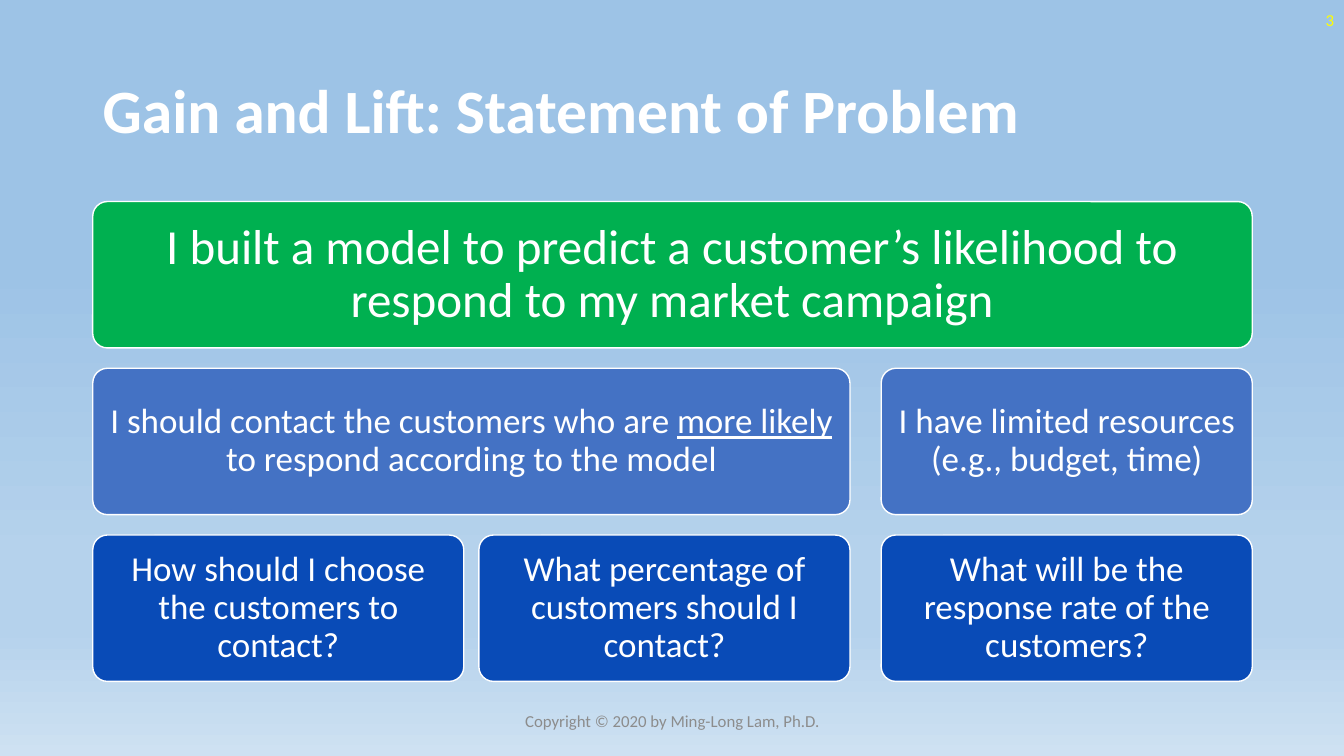
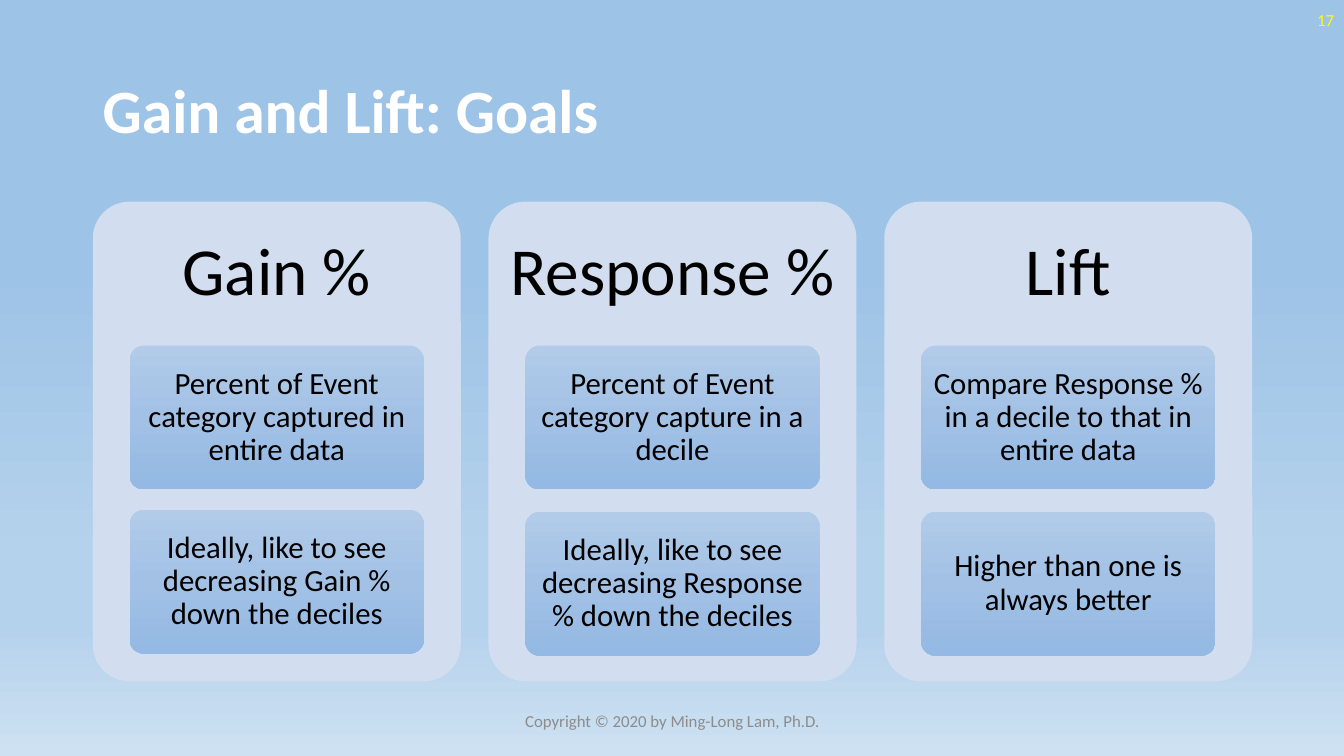
from lxml import etree
from pptx import Presentation
from pptx import util as u
from pptx.dml.color import RGBColor
from pptx.enum import shapes, text
from pptx.oxml import ns

WIDTH, HEIGHT = 13.33, 7.5
FONT = "Calibri"
WHITE = RGBColor(0xFF, 0xFF, 0xFF)
BLACK = RGBColor(0x00, 0x00, 0x00)
YELLOW = RGBColor(0xFF, 0xFF, 0x00)
GREY = RGBColor(0x8C, 0x8C, 0x8C)
GREEN = RGBColor(0x00, 0xB0, 0x50)
MID_BLUE = RGBColor(0x44, 0x72, 0xC4)
DEEP_BLUE = RGBColor(0x09, 0x4B, 0xB7)
PANEL_BLUE = RGBColor(0xD2, 0xDE, 0xEF)
SKY = [(35, RGBColor(0x9D, 0xC3, 0xE6)), (74, RGBColor(0xB5, 0xD2, 0xEC)),
       (83, RGBColor(0xB5, 0xD2, 0xEC)), (100, RGBColor(0xCE, 0xE1, 0xF2))]
TILE_BLUES = [(0, RGBColor(0xB1, 0xCB, 0xE9)), (50, RGBColor(0xA3, 0xC1, 0xE5)),
              (100, RGBColor(0x93, 0xB9, 0xE4))]

# Boxes are (left, top, width, height) in inches
TITLE_BOX = (0.92, 0.4, 11.5, 1.45)
BODY_BOX = (0.92, 2, 11.5, 4.76)
NUMBER_BOX = (10.33, 0, 3, 0.4)
FOOTER_BOX = (4.42, 6.95, 4.5, 0.4)
FOOTER = "Copyright © 2020 by Ming-Long Lam, Ph.D."

LEFT, CENTER, RIGHT = (text.PP_ALIGN.LEFT, text.PP_ALIGN.CENTER,
                       text.PP_ALIGN.RIGHT)


def inches(box):
    return [u.Inches(length) for length in box]


def paint_gradient(fill, element, stops):
    """Fill downwards through (percent, colour) stops."""
    fill.gradient()
    fill.gradient_angle = 270
    stop_list = next(element.iter(ns.qn("a:gsLst")))
    for stop in list(stop_list):
        stop_list.remove(stop)
    for percent, colour in stops:
        stop = etree.SubElement(stop_list, ns.qn("a:gs"), pos=str(percent * 1000))
        etree.SubElement(stop, ns.qn("a:srgbClr"), val=str(colour))


def write(shape, words, size, colour, align=CENTER, insets=(0.1, 0.05),
          bold=False, spacing=0.9, underlined=""):
    """Write one middle-anchored paragraph, with one phrase underlined if given."""
    frame = shape.text_frame
    frame.word_wrap = True
    frame.vertical_anchor = text.MSO_ANCHOR.MIDDLE
    frame.margin_left = frame.margin_right = u.Inches(insets[0])
    frame.margin_top = frame.margin_bottom = u.Inches(insets[1])
    para = frame.paragraphs[0]
    para.alignment, para.line_spacing = align, spacing
    parts = words.partition(underlined) if underlined else [words]
    for part in parts:
        span = para.add_run()
        span.text = part
        span.font.name, span.font.size = FONT, u.Pt(size)
        span.font.color.rgb, span.font.bold = colour, bold
        if part == underlined:
            span.font.underline = True


def add_label(page, box, words, size, colour, **style):
    label = page.shapes.add_textbox(*inches(box))
    write(label, words, size, colour, **style)


def add_card(page, box, fill, outline=None):
    """Rounded card with a plain colour or a list of gradient stops."""
    card = page.shapes.add_shape(shapes.MSO_SHAPE.ROUNDED_RECTANGLE, *inches(box))
    card.adjustments[0] = 0.1
    card.shadow.inherit = False
    if isinstance(fill, list):
        paint_gradient(card.fill, card.element, fill)
    else:
        card.fill.solid()
        card.fill.fore_color.rgb = fill
    if outline is None:
        card.line.fill.background()
    else:
        card.line.color.rgb = outline
        card.line.width = u.Pt(1)
    return card


def add_page(deck, title, number):
    """Blank page with title, page number and footer."""
    page = deck.slides.add_slide(deck.slide_layouts[6])
    add_label(page, TITLE_BOX, title, 44, WHITE, align=LEFT, bold=True)
    add_label(page, NUMBER_BOX, number, 12, YELLOW, align=RIGHT, spacing=1.0)
    add_label(page, FOOTER_BOX, FOOTER, 12, GREY, spacing=1.0)
    return page


def add_problem_tree(page, box):
    """Three rows of cards: the model, its consequences, the questions."""
    left, top, width, height = box
    card_width, card_height = 0.32 * width, 0.305 * height
    row_pitch = (height - card_height) / 2
    second = card_width + 0.15
    pair_width = second + card_width
    third = width - card_width
    cards = [  # row, offset, width, colour, size, inset, words, underlined
        (0, 0, width, GREEN, 35, 0.15, "I built a model to predict a customer’s "
         "likelihood to respond to my market campaign", ""),
        (1, 0, pair_width, MID_BLUE, 25, 0.1, "I should contact the customers who "
         "are more likely to respond according to the model", "more likely"),
        (1, third, card_width, MID_BLUE, 25, 0.1,
         "I have limited resources (e.g., budget, time)", ""),
        (2, 0, card_width, DEEP_BLUE, 25, 0.1,
         "How should I choose the customers to contact?", ""),
        (2, second, card_width, DEEP_BLUE, 25, 0.1,
         "What percentage of customers should I contact?", ""),
        (2, third, card_width, DEEP_BLUE, 25, 0.1,
         "What will be the response rate of the customers?", ""),
    ]
    for row, offset, span_width, colour, size, inset, words, underlined in cards:
        card = add_card(page, (left + offset, top + row * row_pitch,
                               span_width, card_height), colour, WHITE)
        write(card, words, size, WHITE, insets=(inset, inset),
              underlined=underlined)


def add_goal_panel(page, box, heading, goals, gap):
    """Panel with a heading above stacked goal tiles."""
    left, top, width, height = box
    tile_height = 0.3 * height
    add_card(page, box, PANEL_BLUE)
    add_label(page, (left, top, width, tile_height), heading, 48, BLACK,
              insets=(0.2, 0.2))
    for row, goal in enumerate(goals):
        tile_top = top + tile_height + row * (tile_height + gap)
        tile = add_card(page, (left + 0.1 * width, tile_top,
                               0.8 * width, tile_height), TILE_BLUES)
        write(tile, goal, 22, BLACK, insets=(0.06, 0.05))


def add_goal_panels(page, box):
    """Three equal panels across the box."""
    left, top, width, height = box
    panels = [  # heading, goals, gap between tiles
        ("Gain %", ["Percent of Event category captured in entire data",
                    "Ideally, like to see decreasing Gain % down the deciles"], 0.2),
        ("Response %", ["Percent of Event category capture in a decile",
                        "Ideally, like to see decreasing Response % down the deciles"],
         0.22),
        ("Lift", ["Compare Response % in a decile to that in entire data",
                  "Higher than one is always better"], 0.22),
    ]
    panel_width = 3.65
    pitch = (width - panel_width) / (len(panels) - 1)
    for column, (heading, goals, gap) in enumerate(panels):
        panel_box = (left + column * pitch, top, panel_width, height)
        add_goal_panel(page, panel_box, heading, goals, gap)


def main():
    deck = Presentation()
    deck.slide_width, deck.slide_height = u.Inches(WIDTH), u.Inches(HEIGHT)
    master = deck.slide_master
    paint_gradient(master.background.fill, master.element, SKY)

    problem = add_page(deck, "Gain and Lift: Statement of Problem", "3")
    add_problem_tree(problem, BODY_BOX)

    goals = add_page(deck, "Gain and Lift: Goals", "17")
    add_goal_panels(goals, BODY_BOX)

    deck.save("out.pptx")


if __name__ == "__main__":
    main()
